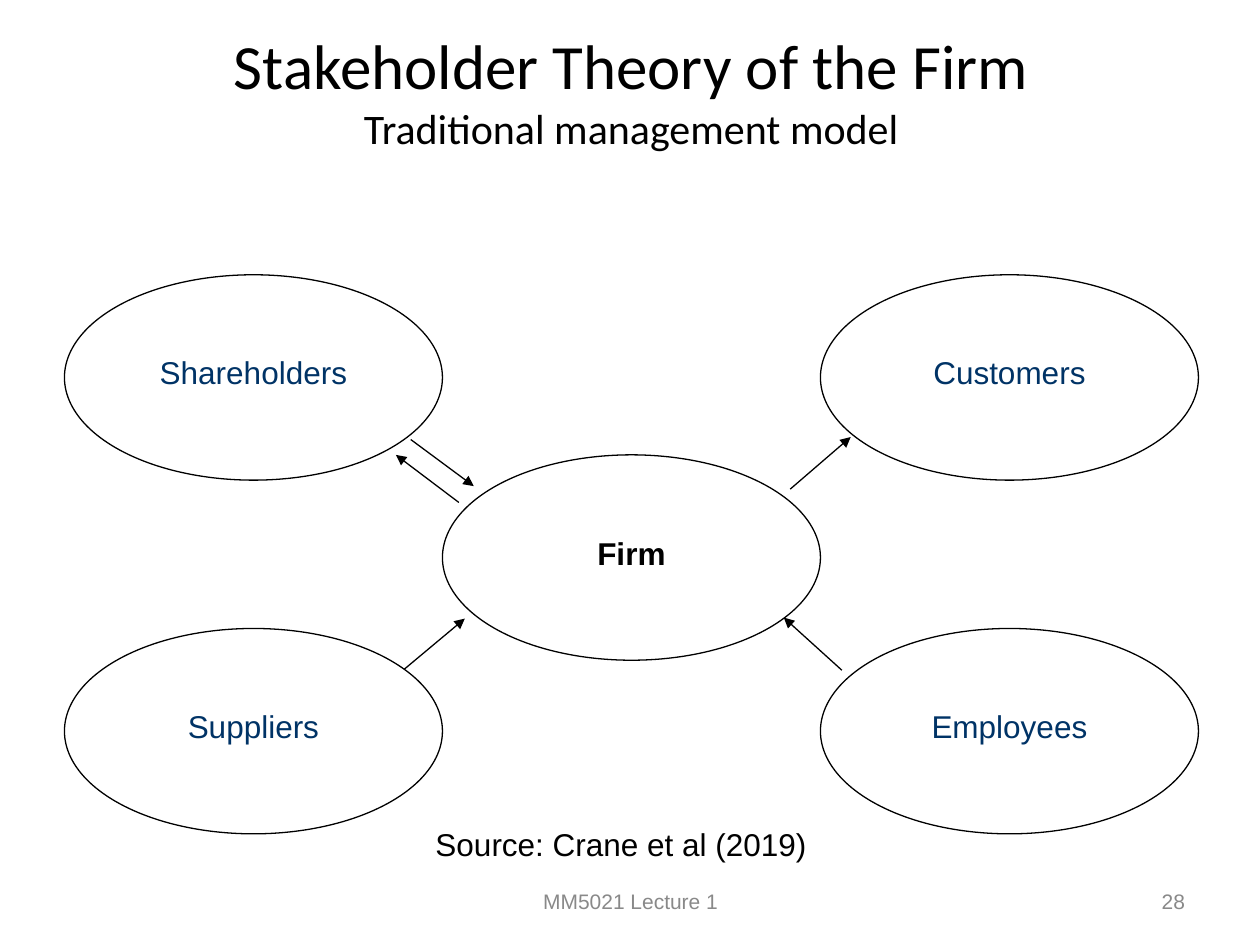
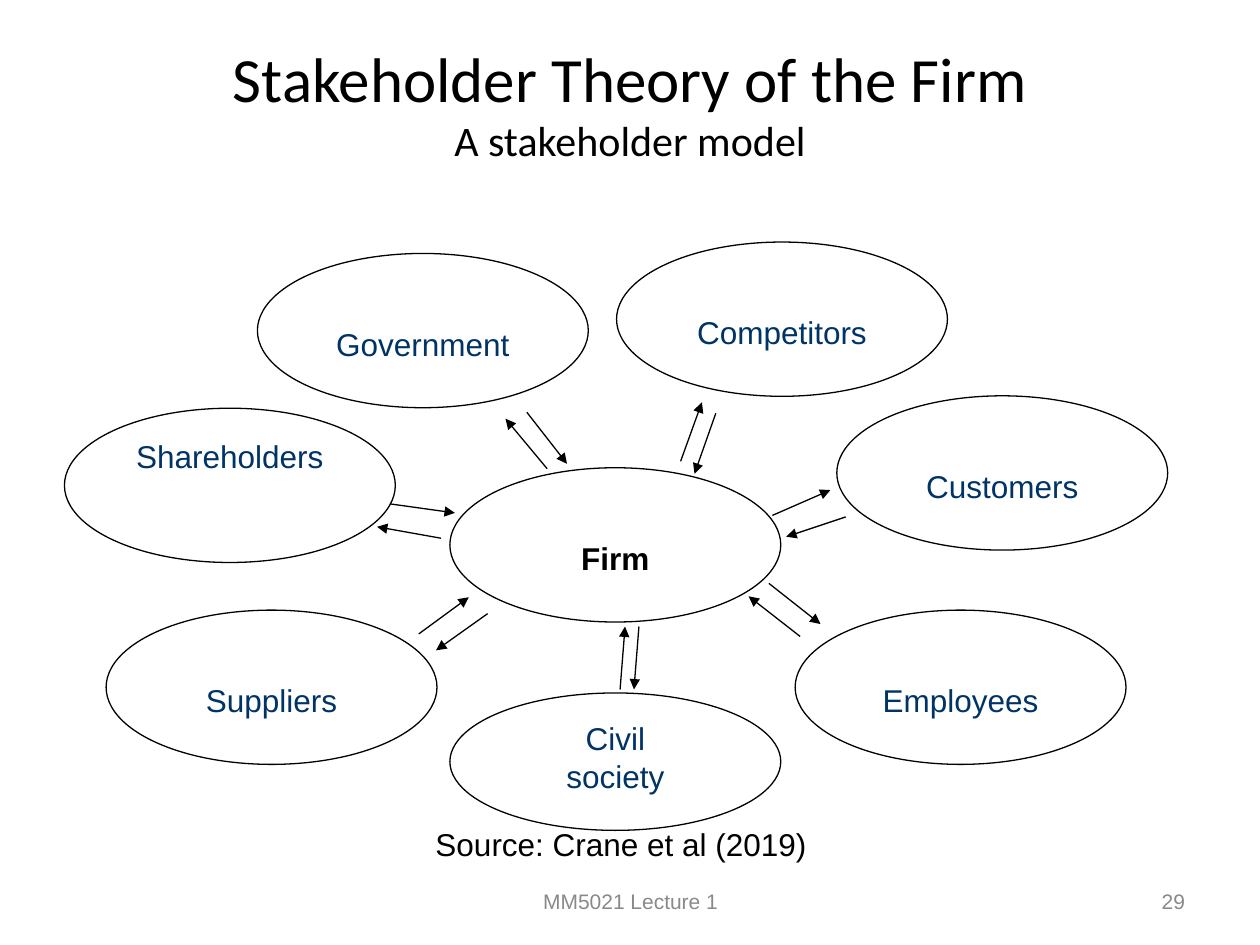
from lxml.etree import SubElement
from pptx import Presentation
from pptx.dml.color import RGBColor
from pptx.enum.shapes import MSO_CONNECTOR, MSO_SHAPE
from pptx.enum.text import MSO_ANCHOR, PP_ALIGN
from pptx.oxml.ns import qn
from pptx.util import Cm, Pt

COLORS = {"ink": "000000", "paper": "FFFFFF", "navy": "003366", "grey": "898989"}
TITLE = "Stakeholder Theory of the Firm"
PAD_X, PAD_Y = 0.25, 0.13
LOW_TEXT = 0.98


def rgb(name):
    """Return a palette colour."""
    return RGBColor.from_string(COLORS[name])


def style_text(tf, sizes, color, font="Arial", align=PP_ALIGN.CENTER, bold=False):
    """Format every run; sizes lists one size per run in a paragraph."""
    tf.margin_left = tf.margin_right = Cm(PAD_X)
    tf.margin_top = tf.margin_bottom = Cm(PAD_Y)
    for p in tf.paragraphs:
        p.alignment = align
        for r, size in zip(p.runs, sizes):
            r.font.name, r.font.size, r.font.bold = font, Pt(size), bold
            r.font.color.rgb = rgb(color)


def add_text(slide, box, text, sizes, color, anchor=MSO_ANCHOR.TOP, **style):
    """Add a text box at box (left, top, width, height)."""
    tf = slide.shapes.add_textbox(*map(Cm, box)).text_frame
    tf.text, tf.word_wrap, tf.vertical_anchor = text, True, anchor
    style_text(tf, sizes, color, **style)


def add_title(slide, box, subtitle):
    """Add the two-line title."""
    add_text(slide, box, f"{TITLE}\v{subtitle}", (36, 24), "ink", font="Calibri")


def add_footer(slide, number, left=8.69, top=17.65, height=1.02):
    """Add the source line, lecture name and slide number."""
    middle = MSO_ANCHOR.MIDDLE
    add_text(slide, (left, top, 8.05, height), "MM5021 Lecture 1", [12], "grey", middle)
    add_text(slide, (left + 9.52, top, 5.93, height), str(number), [12], "grey", middle,
             align=PP_ALIGN.RIGHT)
    add_text(slide, (left - 0.16, top - 1.14, 8.3, height), "Source: Crane et al (2019)",
             [18], "ink", align=PP_ALIGN.LEFT)


def add_party(slide, box, label, text_top):
    """Add a labelled ellipse; the firm is black and bold."""
    sp = slide.shapes.add_shape(MSO_SHAPE.OVAL, *map(Cm, box))
    sp.shadow.inherit = False
    sp.fill.solid()
    sp.fill.fore_color.rgb = rgb("paper")
    sp.line.color.rgb = rgb("ink")
    sp.line.width = Pt(0.75)
    tf = sp.text_frame
    tf.text, tf.word_wrap, tf.vertical_anchor = label, True, MSO_ANCHOR.TOP
    is_firm = label == "Firm"
    style_text(tf, [18], "ink" if is_firm else "navy", bold=is_firm)
    tf.margin_top = Cm(text_top)


def add_arrow(slide, x1, y1, x2, y2):
    """Add a thin arrow whose tip is at (x2, y2)."""
    line = slide.shapes.add_connector(MSO_CONNECTOR.STRAIGHT, *map(Cm, (x1, y1, x2, y2)))
    line.line.color.rgb = rgb("ink")
    line.line.width = Pt(0.75)
    SubElement(line.line._get_or_add_ln(), qn("a:tailEnd"), type="triangle")
    SubElement(line._element.spPr, qn("a:effectLst"))


def add_diagram(slide, origin, size, parties, arrows):
    """Draw parties (label, x, y, options) and arrows relative to origin."""
    left, top = origin
    width, height = size
    for label, x, y, *options in parties:
        options = options[0] if options else {}
        box = (left + x, top + y, width, options.get("height", height))
        add_party(slide, box, label, options.get("text_top", LOW_TEXT))
    for x1, y1, x2, y2 in arrows:
        add_arrow(slide, left + x1, top + y1, left + x2, top + y2)


def build_traditional(slide):
    """Build the traditional management model."""
    add_title(slide, (1.93, 0.41, 21.59, 2.34), "Traditional management model")
    width, height = 7.62, 4.14
    bottom = 7.13
    parties = [
        ("Firm", width, 3.63),
        ("Shareholders", 0, 0),
        ("Employees", 2 * width, bottom),
        ("Suppliers", 0, bottom),
        ("Customers", 2 * width, 0),
    ]
    arrows = [
        (7.95, 4.59, 6.68, 3.63),
        (6.98, 3.32, 8.25, 4.26),
        (14.63, 4.32, 15.85, 3.27),
        (6.85, 7.95, 8.07, 6.93),
        (15.67, 7.97, 14.5, 6.91),
    ]
    add_diagram(slide, (1.3, 5.54), (width, height), parties, arrows)
    add_footer(slide, 28)


def build_stakeholder(slide):
    """Build the stakeholder model with two-way relations."""
    add_title(slide, (1.27, 0.66, 22.86, 2.77), "A stakeholder model")
    parties = [
        ("Firm", 7.77, 4.55),
        ("Shareholders", 0, 3.35, {"text_top": PAD_Y}),
        ("Employees", 14.73, 7.42),
        ("Suppliers", 0.84, 7.42),
        ("Customers", 15.57, 3.1),
        ("Civil\nsociety", 7.77, 9.09, {"text_top": PAD_Y, "height": 2.77}),
        ("Competitors", 11.13, 0),
        ("Government", 3.89, 0.23),
    ]
    arrows = [
        (7.59, 5.97, 6.3, 5.74), (6.58, 5.28, 7.87, 5.46),
        (14.27, 5.51, 15.44, 5), (15.75, 5.54, 14.55, 5.94),
        (7.14, 7.9, 8.15, 7.16), (8.53, 7.49, 7.49, 8.23),
        (14.83, 7.95, 13.79, 7.14), (14.2, 6.88, 15.24, 7.7),
        (9.73, 4.57, 8.89, 3.56), (9.32, 3.43, 10.13, 4.47),
        (11.2, 9.02, 11.3, 7.75), (11.58, 7.75, 11.48, 9.02),
        (12.42, 4.42, 12.85, 3.23), (13.13, 3.45, 12.7, 4.67),
    ]
    add_diagram(slide, (1.3, 4.88), (6.67, 3.11), parties, arrows)
    add_footer(slide, 29)


def main():
    """Build and save the slides."""
    prs = Presentation()
    prs.slide_width, prs.slide_height = Cm(25.4), Cm(19.05)
    for build in (build_traditional, build_stakeholder):
        build(prs.slides.add_slide(prs.slide_layouts[6]))
    prs.save("out.pptx")


if __name__ == "__main__":
    main()
